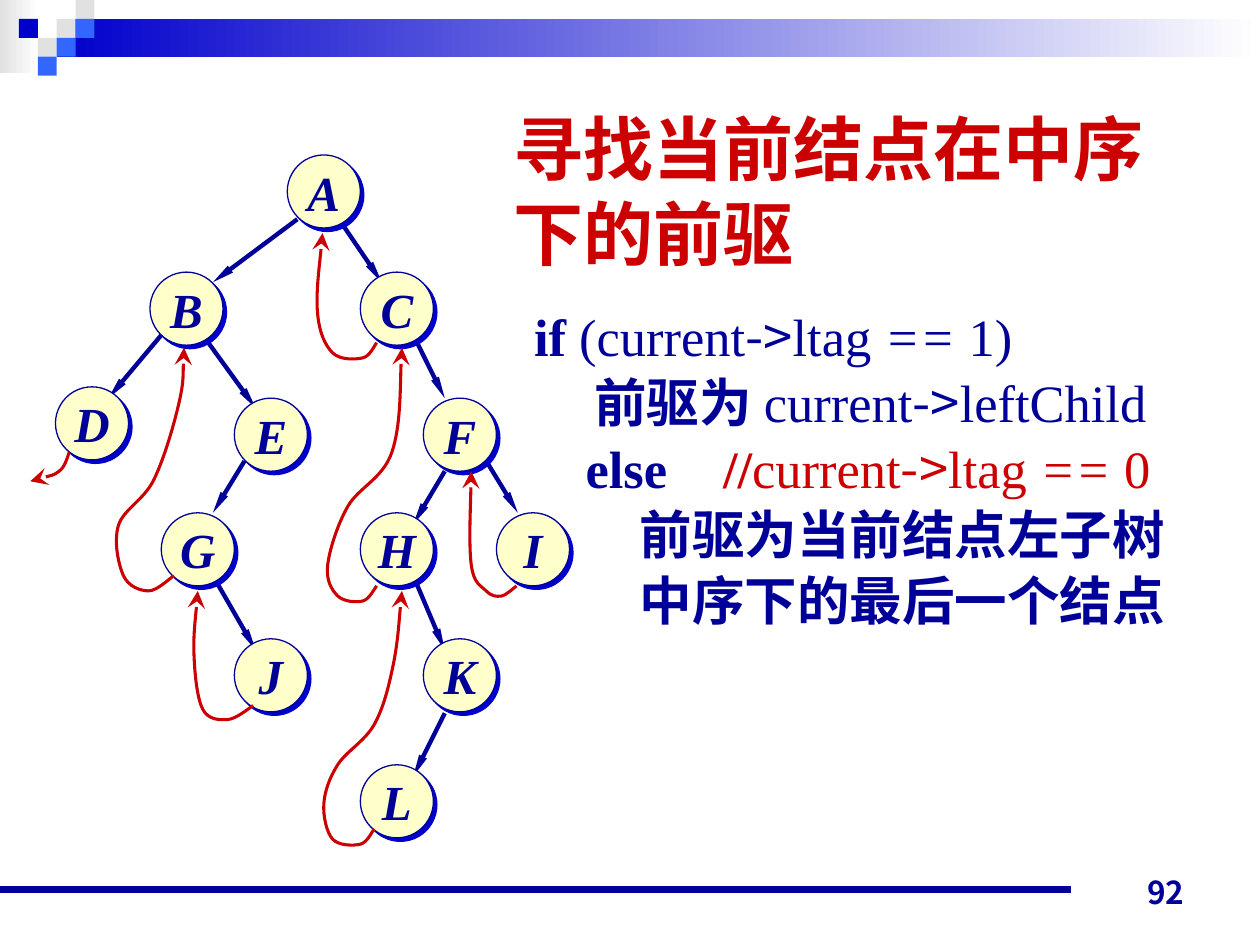
from dataclasses import dataclass

from lxml import etree
from pptx import Presentation, util as u
from pptx.dml import color
from pptx.enum import shapes, text
from pptx.oxml import ns


@dataclass(frozen=True)
class Theme:
    navy: str = "000099"
    blue: str = "0000CC"
    sky: str = "3366FF"
    gray: str = "E1E1E1"
    white: str = "FFFFFF"
    cream: str = "FFFFCC"
    red: str = "CC0000"
    serif: str = "Times New Roman"
    sans: str = "Arial"
    cjk: str = "Noto Sans CJK SC"
    number_font: str = "Noto Sans CJK JP"
    title_size: float = 40
    body_size: float = 30
    node_size: float = 28
    number_size: float = 18


THEME = Theme()
COLUMNS, ROWS = 10, 7.5
NODE = 0.58
TILE = 0.15


def rgb(value):
    return color.RGBColor.from_string(value)


def child(parent, tag, **attributes):
    return etree.SubElement(parent, ns.qn(tag), attributes)


def assign(target, values):
    for name, value in values.items():
        setattr(target, name, value)


class SlideBuilder:
    def __init__(self, presentation, theme):
        self.theme = theme
        self.slide = presentation.slides.add_slide(presentation.slide_layouts[6])
        self.shapes = self.slide.shapes
        self.column = presentation.slide_width / COLUMNS
        self.row = presentation.slide_height / ROWS

    def place(self, x, y):
        return round(x * self.column), round(y * self.row)

    def box(self, x, y, width, height):
        return *self.place(x, y), *self.place(width, height)

    def stroke(self, shape, line_color, width, head=None, head_width="sm"):
        shape.line.color.rgb = rgb(line_color)
        shape.line.width = u.Pt(width)
        if head:
            line = shape.line._get_or_add_ln()
            child(line, "a:tailEnd", type=head, w=head_width, len="lg")

    def rectangle(self, area, fill, fade_to=None):
        shape = self.shapes.add_shape(shapes.MSO_SHAPE.RECTANGLE, *self.box(*area))
        shape.shadow.inherit = False
        shape.line.fill.background()
        if fade_to:
            shape.fill.gradient()
            shape.fill.gradient_angle = 0
            for stop, value in zip(shape.fill.gradient_stops, (fill, fade_to)):
                stop.color.rgb = rgb(value)
        else:
            shape.fill.solid()
            shape.fill.fore_color.rgb = rgb(fill)

    def line(self, start, end, width, head=None):
        shape = self.shapes.add_connector(
            shapes.MSO_CONNECTOR.STRAIGHT, *self.place(*start), *self.place(*end))
        self.stroke(shape, self.theme.navy, width, head)
        child(shape._element.spPr, "a:effectLst")

    def run(self, paragraph, words, **style):
        run = paragraph.add_run()
        run.text = words
        values = {"name": self.theme.serif, "color": self.theme.navy,
                  "bold": False, "italic": False, **style}
        run.font.color.rgb = rgb(values.pop("color"))
        values["size"] = u.Pt(values["size"])
        assign(run.font, values)
        child(run._r.get_or_add_rPr(), "a:ea", typeface=self.theme.cjk)

    def text_box(self, area, anchor=text.MSO_ANCHOR.TOP):
        frame = self.shapes.add_textbox(*self.box(*area)).text_frame
        assign(frame, {"word_wrap": True, "vertical_anchor": anchor})
        return frame

    def paragraphs(self, frame, count):
        return [frame.paragraphs[0]] + [frame.add_paragraph() for _ in range(count - 1)]

    def node(self, letter, x, y):
        shape = self.shapes.add_shape(
            shapes.MSO_SHAPE.OVAL, *self.box(x, y, NODE, NODE))
        shape.fill.solid()
        shape.fill.fore_color.rgb = rgb(self.theme.cream)
        self.stroke(shape, self.theme.navy, 0.75)
        shape.shadow.inherit = False
        effects = shape._element.spPr.find(ns.qn("a:effectLst"))
        shadow = child(effects, "a:outerShdw", dist=str(u.Pt(2.8)), dir="2700000",
                       algn="ctr", rotWithShape="0")
        child(shadow, "a:srgbClr", val=self.theme.blue)
        frame = shape.text_frame
        assign(frame, {"word_wrap": False, "vertical_anchor": text.MSO_ANCHOR.MIDDLE,
                       "margin_left": 0, "margin_right": 0,
                       "margin_top": 0, "margin_bottom": 0})
        paragraph = frame.paragraphs[0]
        paragraph.alignment = text.PP_ALIGN.CENTER
        self.run(paragraph, letter, size=self.theme.node_size, bold=True, italic=True)

    def thread(self, points):
        """Draw a smooth arrow through the points (Catmull-Rom spline)."""
        places = [self.place(*point) for point in points]
        builder = self.shapes.build_freeform(*places[0])
        builder.add_line_segments(places[1:], close=False)
        shape = builder.convert_to_shape()
        shape.shadow.inherit = False
        shape.fill.background()
        self.stroke(shape, self.theme.red, 1.75, "stealth", "lg")
        outline = next(shape._element.iter(ns.qn("a:path")))
        knots = [(int(p.get("x")), int(p.get("y"))) for p in outline.iter(ns.qn("a:pt"))]
        padded = [knots[0], *knots, knots[-1]]
        for segment in outline.findall(ns.qn("a:lnTo")):
            outline.remove(segment)
        for before, start, end, after in zip(padded, padded[1:], padded[2:], padded[3:]):
            curve = child(outline, "a:cubicBezTo")
            first = [s + (e - b) / 6 for b, s, e in zip(before, start, end)]
            second = [e - (a - s) / 6 for s, e, a in zip(start, end, after)]
            for x, y in (first, second, end):
                child(curve, "a:pt", x=str(round(x)), y=str(round(y)))


def main():
    presentation = Presentation()
    presentation.slide_width, presentation.slide_height = u.Inches(10), u.Inches(7.5)
    builder = SlideBuilder(presentation, THEME)

    # Header band, mosaic tiles and footer rule
    builder.rectangle((0, 0, 0.31, 0.58), THEME.gray, THEME.white)
    builder.rectangle((0.45, 0.15, 9.55, 0.3), THEME.blue, THEME.white)
    for column, row, fill in [(3, 1, THEME.gray), (4, 0, THEME.gray), (4, 1, THEME.sky),
                              (2, 2, THEME.gray), (1, 1, THEME.blue), (3, 2, THEME.sky),
                              (2, 3, THEME.sky)]:
        builder.rectangle((column * TILE, row * TILE, TILE, TILE), fill)
    builder.line((0, 7.06), (8.5, 7.06), 4.5)

    # Page number
    frame = builder.text_box((7.17, 6.78, 2.33, 0.5), text.MSO_ANCHOR.BOTTOM)
    frame.paragraphs[0].alignment = text.PP_ALIGN.RIGHT
    builder.run(frame.paragraphs[0], "92", size=THEME.number_size,
                name=THEME.number_font, bold=True)

    # Title
    frame = builder.text_box((3.98, 0.72, 5.35, 1.57), text.MSO_ANCHOR.MIDDLE)
    title_lines = ["寻找当前结点在中序", "下的前驱"]
    for paragraph, words in zip(builder.paragraphs(frame, 2), title_lines):
        paragraph.line_spacing = u.Pt(48.6)
        builder.run(paragraph, words, size=THEME.title_size, name=THEME.sans,
                    color=THEME.red, bold=True)

    # Algorithm: first-line indent, then runs of text and style
    bold, italic, red = {"bold": True}, {"italic": True}, {"color": THEME.red}
    arrow = {"name": THEME.cjk}
    algorithm = [
        (0, [("if", bold), (" (current", {}), ("->", arrow), ("ltag ", {}),
             ("== ", italic), ("1)", {})]),
        (0.48, [("前驱为 ", bold), ("current", {}), ("->", arrow), ("leftChild", {})]),
        (0.41, [("else\t", bold), ("//", red | bold), ("current", red),
                ("->", red | arrow), ("ltag ", red), ("== ", red | italic), ("0", red)]),
        (0.84, [("前驱为当前结点左子树", bold)]),
        (0.84, [("中序下的最后一个结点", bold)]),
    ]
    frame = builder.text_box((4.14, 2.34, 5.83, 3.03))
    for paragraph, (indent, runs) in zip(builder.paragraphs(frame, len(algorithm)), algorithm):
        paragraph.line_spacing = u.Pt(37.7)
        properties = paragraph._p.get_or_add_pPr()
        properties.set("indent", str(u.Inches(indent)))
        tabs = child(properties, "a:tabLst")
        child(tabs, "a:tab", pos=str(u.Inches(1.47)), algn="l")
        for words, style in runs:
            builder.run(paragraph, words, size=THEME.body_size, **style)

    # Tree edges
    for start, end in [
        ((2.36, 1.74), (1.69, 2.24)), ((2.69, 1.74), (3.03, 2.24)),
        ((1.28, 2.66), (0.86, 3.16)), ((1.61, 2.66), (2.03, 3.24)),
        ((3.28, 2.66), (3.53, 3.16)), ((1.94, 3.66), (1.69, 4.07)),
        ((3.53, 3.74), (3.28, 4.16)), ((3.86, 3.66), (4.11, 4.07)),
        ((1.69, 4.57), (2.03, 5.16)), ((3.28, 4.57), (3.53, 5.16)),
        ((3.53, 5.66), (3.28, 6.16)),
    ]:
        builder.line(start, end, 2.5, "triangle")

    # Tree nodes
    for letter, x, y in [
        ("A", 2.28, 1.23), ("B", 1.19, 2.16), ("C", 2.86, 2.16), ("D", 0.44, 3.07),
        ("E", 1.86, 3.16), ("F", 3.36, 3.16), ("G", 1.28, 4.07), ("H", 2.86, 4.07),
        ("I", 3.94, 4.07), ("J", 1.86, 5.07), ("K", 3.36, 5.07), ("L", 2.86, 6.07),
    ]:
        builder.node(letter, x, y)

    # Predecessor threads
    for points in [
        [(4.1, 4.65), (3.98, 4.73), (3.86, 4.69), (3.74, 4.48), (3.74, 3.74)],
        [(2.97, 6.58), (2.86, 6.7), (2.64, 6.66), (2.57, 6.38), (2.68, 6.07),
         (2.97, 5.75), (3.12, 5.28), (3.19, 4.69)],
        [(2.99, 4.65), (2.88, 4.77), (2.68, 4.73), (2.6, 4.49), (2.76, 4.02),
         (3.11, 3.59), (3.19, 2.76)],
        [(2.99, 2.72), (2.88, 2.84), (2.64, 2.8), (2.52, 2.48), (2.56, 1.85)],
        [(2.01, 5.6), (1.81, 5.71), (1.61, 5.63), (1.54, 5.2), (1.57, 4.69)],
        [(1.38, 4.57), (1.18, 4.69), (0.98, 4.57), (0.94, 4.17), (1.22, 3.81),
         (1.42, 3.2), (1.46, 2.76)],
        [(0.55, 3.59), (0.47, 3.74), (0.24, 3.82)],
    ]:
        builder.thread(points)

    presentation.save("out.pptx")


if __name__ == "__main__":
    main()
